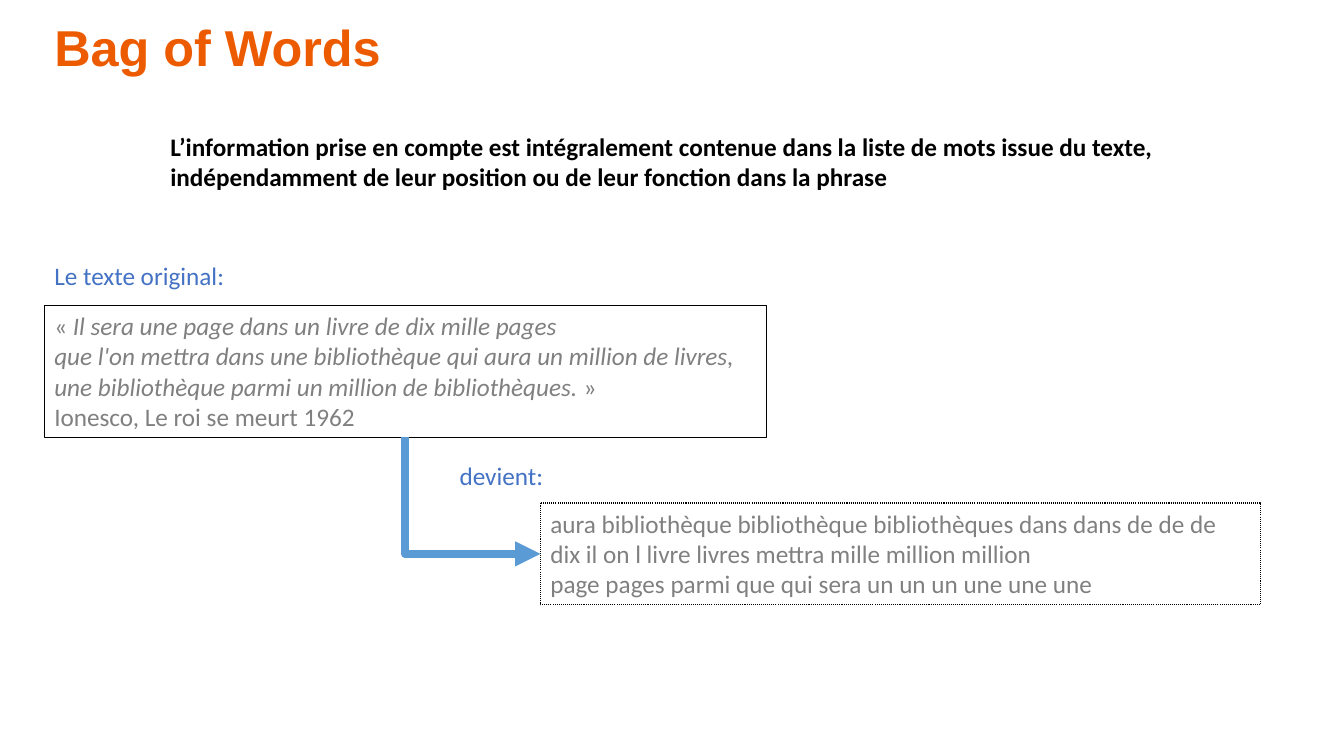
from lxml import etree
from pptx import Presentation
from pptx.dml.color import RGBColor
from pptx.enum.dml import MSO_LINE
from pptx.enum.shapes import MSO_CONNECTOR, MSO_SHAPE
from pptx.enum.text import MSO_ANCHOR, PP_ALIGN
from pptx.oxml.ns import qn
from pptx.util import Pt

RECT = MSO_SHAPE.RECTANGLE
ELBOW = MSO_CONNECTOR.ELBOW
DOTS = MSO_LINE.ROUND_DOT
TOP = MSO_ANCHOR.TOP
LEFT = PP_ALIGN.LEFT
BOTTOM_SIDE, LEFT_SIDE = 2, 1
PX = 9144

THEME = {
    "title": ("Arial", 36, "ED5B00", True),
    "lead": ("Calibri", 18, "000000", True),
    "label": ("Calibri", 18, "4472C4", False),
    "body": ("Calibri", 18, "808080", False),
    "edge": "000000",
    "arrow": "5B9BD5",
}

LABELS = [
    ("title", (44, 11, 347, 71), [[("Bag of Words", False)]]),
    ("lead", (159, 125, 1008, 71), [
        [("L’information prise en compte est intégralement contenue dans la liste de mots issue du texte,", False)],
        [("indépendamment de leur position ou de leur fonction dans la phrase", False)],
    ]),
    ("label", (446, 452, 106, 40), [[("devient:", False)]]),
    ("label", (44, 253, 191, 40), [[("Le texte original:", False)]]),
]
QUOTE = ((44, 303, 716, 131), [
    [("« ", False), ("Il sera une page dans un livre de dix mille pages", True)],
    [("que l'on mettra dans une bibliothèque qui aura un million de livres,", True)],
    [("une bibliothèque parmi un million de bibliothèques.", True), (" »", False)],
    [("Ionesco, Le roi se meurt 1962", False)],
])
WORDS = ((536, 499, 714, 101), [
    [("aura bibliothèque bibliothèque bibliothèques dans dans de de de", False)],
    [("dix il on l livre livres mettra mille million million", False)],
    [("page pages parmi que qui sera un un un une une une", False)],
])


def color(name):
    return RGBColor.from_string(name)


def scale(box):
    return [n * PX for n in box]


def write(shape, style, lines):
    face, size, ink, bold = THEME[style]
    frame = shape.text_frame
    frame.word_wrap = True
    frame.vertical_anchor = TOP
    for i, line in enumerate(lines):
        para = frame.add_paragraph() if i else frame.paragraphs[0]
        para.alignment = LEFT
        for text, slant in line:
            run = para.add_run()
            run.text = text
            font = run.font
            font.name, font.size = face, Pt(size)
            font.bold, font.italic = bold, slant
            font.color.rgb = color(ink)


def panel(slide, box, lines, width):
    shape = slide.shapes.add_shape(RECT, *scale(box))
    shape.shadow.inherit = False
    shape.fill.background()
    shape.line.color.rgb = color(THEME["edge"])
    shape.line.width = Pt(width)
    write(shape, "body", lines)
    return shape


def link(slide, start, end):
    arrow = slide.shapes.add_connector(ELBOW, 0, 0, PX, PX)
    arrow.begin_connect(start, BOTTOM_SIDE)
    arrow.end_connect(end, LEFT_SIDE)
    x, y = start.left + start.width // 2, start.top + start.height
    wide, high = end.left - x, end.top + end.height // 2 - y
    arrow.left = x + (wide - high) // 2
    arrow.top = y + (high - wide) // 2
    arrow.width, arrow.height = high, wide
    props = arrow._element.spPr
    frame = props.find(qn("a:xfrm"))
    frame.set("rot", "16200000")
    frame.set("flipH", "1")
    props.find(qn("a:prstGeom")).set("prst", "bentConnector2")
    arrow.line.color.rgb = color(THEME["arrow"])
    arrow.line.width = Pt(6)
    etree.SubElement(props.find(qn("a:ln")), qn("a:tailEnd"), type="triangle")
    etree.SubElement(props, qn("a:effectLst"))


def main():
    deck = Presentation()
    deck.slide_width, deck.slide_height = 1333 * PX, 750 * PX
    slide = deck.slides.add_slide(deck.slide_layouts[6])
    for style, box, lines in LABELS:
        write(slide.shapes.add_textbox(*scale(box)), style, lines)
    quote = panel(slide, *QUOTE, 0.5)
    words = panel(slide, *WORDS, 0.75)
    words.line.dash_style = DOTS
    link(slide, quote, words)
    deck.save("out.pptx")


if __name__ == "__main__":
    main()
